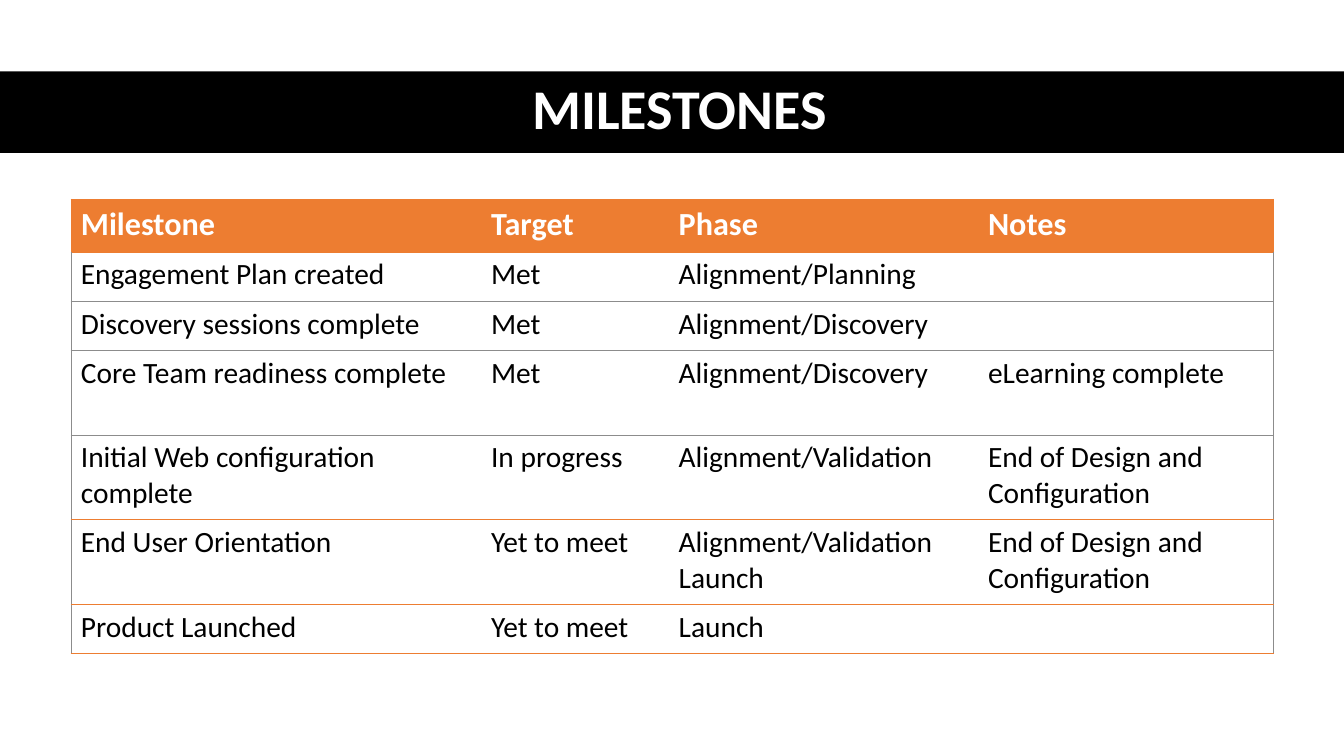
from dataclasses import dataclass

from lxml import etree
from pptx import Presentation
from pptx.dml.color import RGBColor
from pptx.enum.shapes import MSO_SHAPE
from pptx.enum.text import MSO_ANCHOR, MSO_AUTO_SIZE, PP_ALIGN
from pptx.oxml.ns import qn
from pptx.util import Pt


@dataclass(frozen=True)
class Theme:
    font: str = "Calibri"
    black: str = "000000"
    white: str = "FFFFFF"
    orange: str = "ED7D31"
    grey: str = "8C8C8C"
    title_size: float = 40
    header_size: float = 23
    body_size: float = 21
    rule: float = 0.5


THEME = Theme()
TITLE = "MILESTONES"
HEADER = ("Milestone", "Target", "Phase", "Notes")
MILESTONES = [
    ("Engagement Plan created", "Met", "Alignment/Planning", ""),
    ("Discovery sessions complete", "Met", "Alignment/Discovery", ""),
    ("Core Team readiness complete", "Met", "Alignment/Discovery", "eLearning complete"),
    ("Initial Web configuration complete", "In progress", "Alignment/Validation",
     "End of Design and Configuration"),
    ("End User Orientation", "Yet to meet", "Alignment/Validation\nLaunch",
     "End of Design and Configuration"),
    ("Product Launched", "Yet to meet", "Launch", ""),
]
COLUMN_WIDTHS = (293, 134, 221, 211)
HEADER_HEIGHT, SINGLE_LINE, DOUBLE_LINE = 37.6, 35.2, 60.4
TALL_ROWS = (3, 4, 5)
GREY_RULES = (1, 2, 3)
SLIDE_WIDTH, SLIDE_HEIGHT = 960, 540
TABLE_LEFT, TABLE_TOP = 50.6, 142.3
BAND_TOP, BAND_HEIGHT = 51, 58.3


def style_text(frame, size, color, bold):
    for paragraph in frame.paragraphs:
        font = paragraph.font
        font.name, font.size, font.bold = THEME.font, Pt(size), bold
        font.color.rgb = RGBColor.from_string(color)


def set_border(cell, side, color):
    line = etree.SubElement(cell._tc.get_or_add_tcPr(), qn(f"a:ln{side}"), w=str(Pt(THEME.rule)))
    if color:
        fill = etree.SubElement(line, qn("a:solidFill"))
        etree.SubElement(fill, qn("a:srgbClr"), val=color)
    else:
        etree.SubElement(line, qn("a:noFill"))


def rule_below(row):
    return THEME.grey if row in GREY_RULES else THEME.orange


def add_title(slide):
    title = slide.shapes.title
    title.left, title.top, title.width, title.height = Pt(44), Pt(50.5), Pt(883), Pt(BAND_HEIGHT)
    frame = title.text_frame
    frame.text = TITLE
    frame.word_wrap = True
    frame.auto_size = MSO_AUTO_SIZE.NONE
    frame.vertical_anchor = MSO_ANCHOR.MIDDLE
    paragraph = frame.paragraphs[0]
    paragraph.alignment = PP_ALIGN.CENTER
    paragraph.line_spacing = 0.9
    paragraph.space_after = Pt(6)
    style_text(frame, THEME.title_size, THEME.white, True)

    band = slide.shapes.add_shape(
        MSO_SHAPE.RECTANGLE, 0, Pt(BAND_TOP), Pt(SLIDE_WIDTH), Pt(BAND_HEIGHT))
    band.shadow.inherit = False
    band.fill.solid()
    band.fill.fore_color.rgb = RGBColor.from_string(THEME.black)
    band.line.fill.background()
    title.element.addprevious(band.element)


def add_milestones(slide):
    rows = [HEADER, *MILESTONES]
    heights = [HEADER_HEIGHT] + [
        DOUBLE_LINE if row in TALL_ROWS else SINGLE_LINE for row in range(1, len(rows))]
    table = slide.shapes.add_table(
        len(rows), len(HEADER), Pt(TABLE_LEFT), Pt(TABLE_TOP),
        Pt(sum(COLUMN_WIDTHS)), Pt(sum(heights))).table
    table.first_row = table.horz_banding = False
    for column, width in zip(table.columns, COLUMN_WIDTHS):
        column.width = Pt(width)
    for row, (texts, height) in enumerate(zip(rows, heights)):
        table.rows[row].height = Pt(height)
        is_header = row == 0
        side_color = THEME.orange if is_header else THEME.grey
        for column, text in enumerate(texts):
            cell = table.cell(row, column)
            set_border(cell, "L", side_color if column == 0 else None)
            set_border(cell, "R", side_color if column == len(HEADER) - 1 else None)
            set_border(cell, "T", rule_below(row - 1))
            set_border(cell, "B", rule_below(row))
            cell.text = text
            if is_header:
                cell.fill.solid()
                cell.fill.fore_color.rgb = RGBColor.from_string(THEME.orange)
                style_text(cell.text_frame, THEME.header_size, THEME.white, True)
            else:
                cell.fill.background()
                style_text(cell.text_frame, THEME.body_size, THEME.black, False)


presentation = Presentation()
presentation.slide_width, presentation.slide_height = Pt(SLIDE_WIDTH), Pt(SLIDE_HEIGHT)
slide = presentation.slides.add_slide(presentation.slide_layouts[5])
add_title(slide)
add_milestones(slide)
presentation.save("out.pptx")
